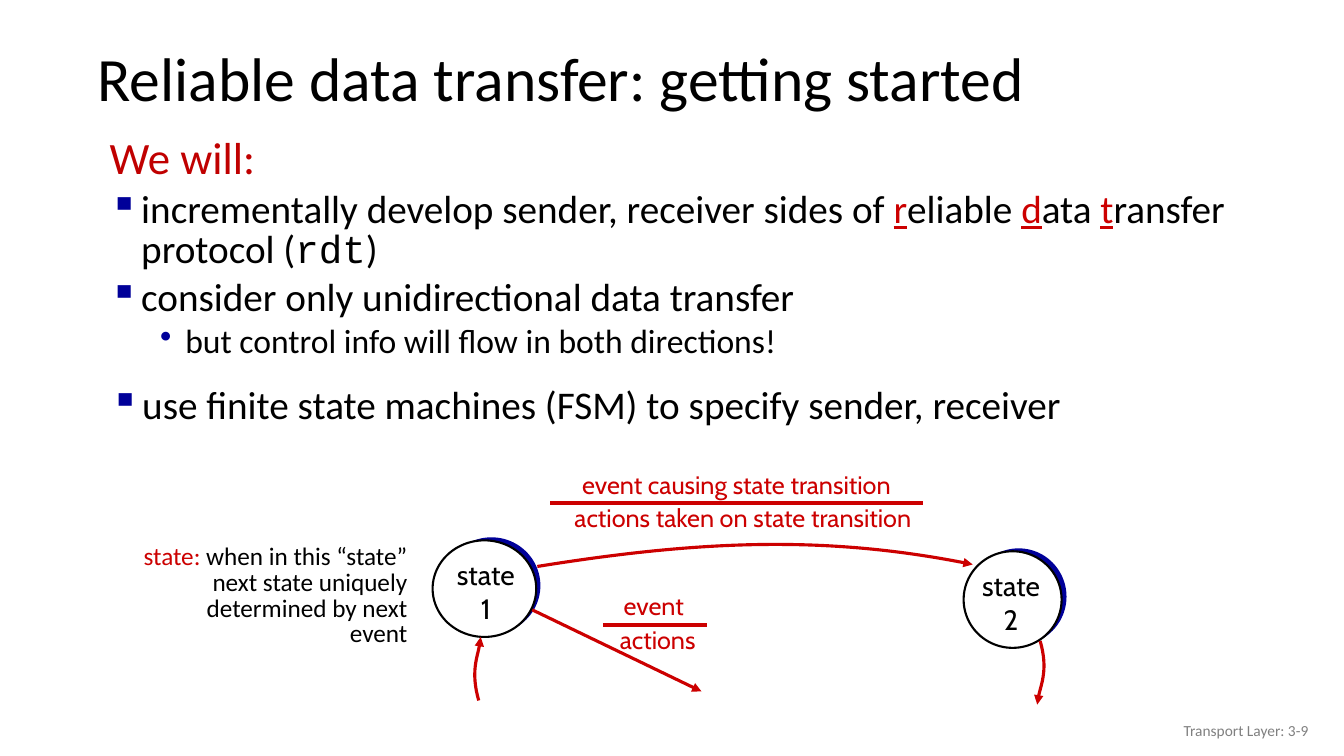
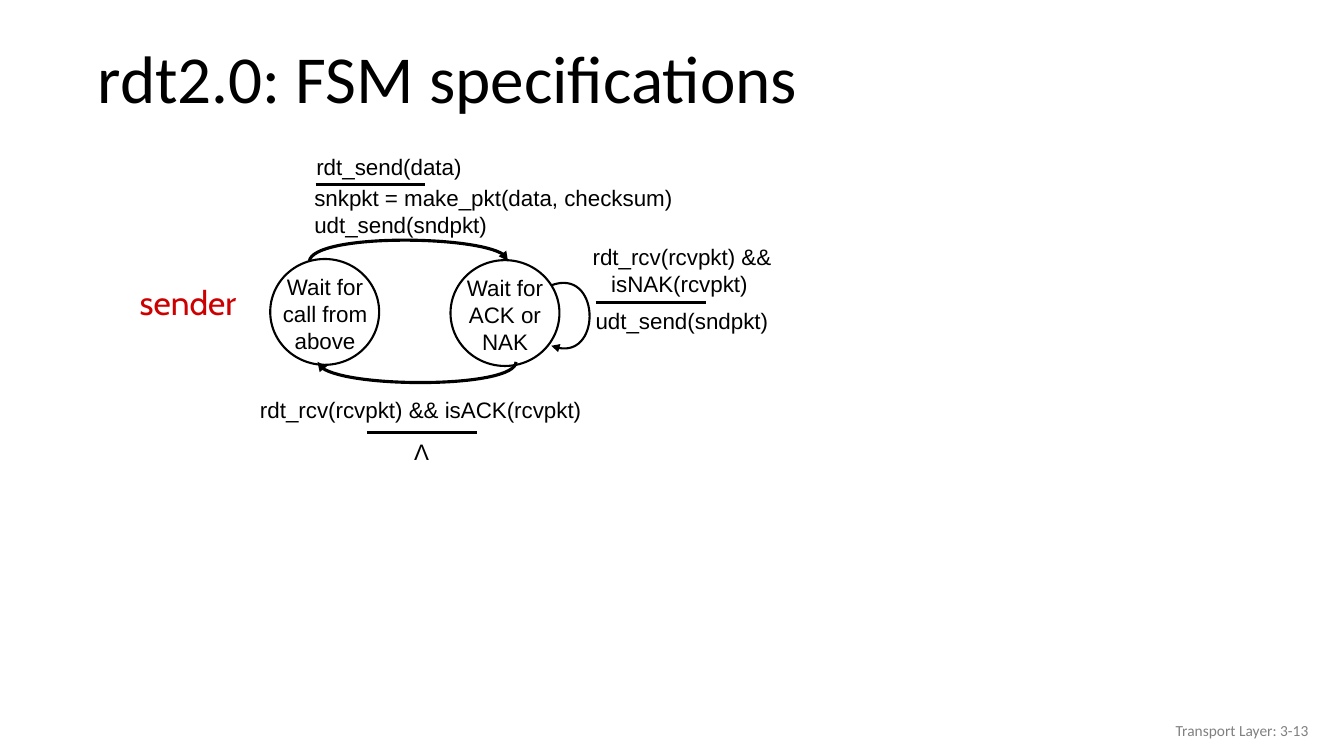
"""Build two slides on reliable data transfer and its state machines."""

from dataclasses import dataclass
from typing import NamedTuple

from lxml import etree
from pptx import Presentation
from pptx import util as u
from pptx.dml.color import RGBColor
from pptx.enum import shapes, text
from pptx.oxml import ns

COLORS = {
    "black": "000000",
    "white": "FFFFFF",
    "red": "CC0000",
    "heading": "C00000",
    "navy": "000099",
    "gray": "808080",
}
LEFT, CENTER, RIGHT = text.PP_ALIGN.LEFT, text.PP_ALIGN.CENTER, text.PP_ALIGN.RIGHT
TOP, MIDDLE = text.MSO_ANCHOR.TOP, text.MSO_ANCHOR.MIDDLE


class Box(NamedTuple):
    left: float
    top: float
    width: float
    height: float


class Point(NamedTuple):
    x: float
    y: float


class Run(NamedTuple):
    text: str
    color: str | None = None
    font: str | None = None
    underline: bool = False


@dataclass(frozen=True)
class Para:
    runs: tuple[Run, ...]
    size: float
    font: str = "Calibri"
    color: str = "black"
    align: text.PP_ALIGN = LEFT
    spacing: float = 1.0
    before: float = 0
    margin: float = 0
    hanging: float = 0
    bullet: str = ""
    level: int = 0


@dataclass(frozen=True)
class Label:
    box: Box
    paragraphs: tuple[Para, ...]
    wrap: bool = True
    anchor: text.MSO_ANCHOR = TOP


@dataclass(frozen=True)
class Stroke:
    points: tuple[Point, ...]
    color: str
    width: float = 2.25
    arrow: bool = True


def rgb(name: str) -> RGBColor:
    return RGBColor.from_string(COLORS[name])


def add_child(parent, tag: str, **attributes: str):
    return etree.SubElement(parent, ns.qn(tag), attributes)


def fill_paragraph(paragraph, para: Para) -> None:
    paragraph.alignment = para.align
    paragraph.line_spacing = para.spacing
    paragraph.space_before = u.Pt(para.before)
    paragraph.level = para.level
    properties = paragraph._p.get_or_add_pPr()
    properties.set("marL", str(u.Pt(para.margin)))
    properties.set("indent", str(-u.Pt(para.hanging)))
    if para.bullet:
        add_child(add_child(properties, "a:buClr"), "a:srgbClr", val=COLORS["navy"])
        add_child(properties, "a:buChar", char=para.bullet)
    paragraph.font.size = u.Pt(para.size)
    if not any(run.font for run in para.runs):
        paragraph.font.name = para.font
    if not any(run.color for run in para.runs):
        paragraph.font.color.rgb = rgb(para.color)
    for item in para.runs:
        run = paragraph.add_run()
        run.text = item.text
        if any(other.font for other in para.runs):
            run.font.name = item.font or para.font
        if any(other.color for other in para.runs):
            run.font.color.rgb = rgb(item.color or para.color)
        if item.underline:
            run.font.underline = True


def add_label(slide, label: Label) -> None:
    frame = slide.shapes.add_textbox(*map(u.Pt, label.box)).text_frame
    frame.word_wrap = label.wrap
    frame.vertical_anchor = label.anchor
    for index, para in enumerate(label.paragraphs):
        fill_paragraph(frame.add_paragraph() if index else frame.paragraphs[0], para)


def add_ellipse(slide, box: Box, fill: str, outlined: bool = True) -> None:
    shape = slide.shapes.add_shape(shapes.MSO_SHAPE.OVAL, *map(u.Pt, box))
    shape.shadow.inherit = False
    shape.fill.solid()
    shape.fill.fore_color.rgb = rgb(fill)
    if outlined:
        shape.line.color.rgb = rgb("black")
        shape.line.width = u.Pt(1.5)
    else:
        shape.line.fill.background()


def add_curve(slide, points: tuple[Point, ...]):
    start, *rest = [(u.Pt(point.x), u.Pt(point.y)) for point in points]
    builder = slide.shapes.build_freeform(*start)
    builder.add_line_segments(rest, close=False)
    shape = builder.convert_to_shape()
    shape.fill.background()
    segments = list(shape._element.iter(ns.qn("a:lnTo")))
    outline = segments[0].getparent()
    bezier = add_child(outline, "a:cubicBezTo")
    for segment in segments:
        bezier.append(segment[0])
        outline.remove(segment)
    return shape


def add_stroke(slide, stroke: Stroke) -> None:
    if len(stroke.points) == 2:
        start, end = stroke.points
        shape = slide.shapes.add_connector(
            shapes.MSO_CONNECTOR.STRAIGHT, *map(u.Pt, (*start, *end))
        )
    else:
        shape = add_curve(slide, stroke.points)
    shape.line.color.rgb = rgb(stroke.color)
    shape.line.width = u.Pt(stroke.width)
    properties = shape._element.spPr
    if stroke.arrow:
        add_child(properties.find(ns.qn("a:ln")), "a:tailEnd", type="triangle")
    add_child(properties, "a:effectLst")


def curve(color: str, *numbers: float, width: float = 2.25) -> Stroke:
    points = tuple(map(Point, numbers[::2], numbers[1::2]))
    return Stroke(points, color, width)


def rule(color: str, left: float, right: float, y: float) -> Stroke:
    return Stroke((Point(left, y), Point(right, y)), color, arrow=False)


def cabin(box: Box, *lines: str, size: float = 18, color: str = "red") -> Label:
    paragraphs = tuple(Para((Run(line),), size, "Cabin", color, CENTER) for line in lines)
    return Label(box, paragraphs, wrap=False)


def code(box: Box, *lines: str, align: text.PP_ALIGN = LEFT, last_margin: float = 0) -> Label:
    margins = [0] * (len(lines) - 1) + [last_margin]
    paragraphs = tuple(
        Para((Run(line),), 16, "Arial", align=align, margin=margin)
        for line, margin in zip(lines, margins)
    )
    return Label(box, paragraphs)


def bullet(size: float, *runs: Run, first: bool = False) -> Para:
    before = 0 if first else size / 5
    return Para(runs, size, spacing=0.85, before=before, margin=22.5, hanging=22.5, bullet="▪")


def start_slide(presentation, title: str, size: float, number: int):
    slide = presentation.slides.add_slide(presentation.slide_layouts[6])
    heading = Para((Run(title),), size, spacing=0.9)
    footer = Para((Run(f"Transport Layer: 3-{number}"),), 11, color="gray", align=RIGHT)
    add_label(slide, Label(Box(62.6, 23, 874, 70.6), (heading,), anchor=MIDDLE))
    add_label(slide, Label(Box(725.8, 507.6, 216, 28.8), (footer,), anchor=MIDDLE))
    return slide


def draw(slide, labels: list[Label], strokes: list[Stroke]) -> None:
    for label in labels:
        add_label(slide, label)
    for stroke in strokes:
        add_stroke(slide, stroke)


def build_getting_started(presentation) -> None:
    slide = start_slide(presentation, "Reliable data transfer: getting started", 44, 9)
    goals = (
        Para((Run("We will:"),), 32, color="heading", spacing=0.85, margin=22.5, hanging=22.5),
        bullet(
            28,
            Run("incrementally develop sender, receiver sides of "),
            Run("r", "red", underline=True),
            Run("eliable "),
            Run("d", "red", underline=True),
            Run("ata "),
            Run("t", "red", underline=True),
            Run("ransfer protocol ("),
            Run("rdt", font="Courier New"),
            Run(")"),
        ),
        bullet(28, Run("consider only unidirectional data transfer")),
        Para(
            (Run("but control info will flow in both directions!"),),
            24, spacing=0.85, before=4.8, margin=54, hanging=18, bullet="•", level=1,
        ),
    )
    machines = bullet(
        28, Run("use finite state machines (FSM) to specify sender, receiver"), first=True
    )
    meaning = Para(
        (
            Run("state:", "red"),
            Run(" when in this “state” next state uniquely determined by next event"),
        ),
        18, align=RIGHT, spacing=0.85, margin=27, hanging=27,
    )
    states = (
        (Box(316, 383.8, 70, 69), Box(309, 386, 74, 69)),
        (Box(693.4, 391.7, 68.4, 69), Box(688.3, 393.8, 70, 69)),
    )
    for shade, face in states:
        add_ellipse(slide, shade, "navy", outlined=False)
        add_ellipse(slide, face, "white")
    labels = [
        Label(Box(71.3, 95, 870.5, 264.2), goals),
        Label(Box(72, 273.6, 870.5, 42.5), (machines,)),
        Label(Box(79.9, 385.9, 218.2, 97.2), (meaning,)),
        cabin(Box(318.2, 394.6, 57.6, 55.4), "state", "1", size=20, color="black"),
        cabin(Box(693.4, 402.5, 57.6, 55.4), "state", "2", size=20, color="black"),
        cabin(Box(401.8, 331.9, 248.4, 28.8), "event causing state transition"),
        cabin(Box(396, 355, 269.3, 28.8), "actions taken on state transition"),
        cabin(Box(437.8, 418.3, 58.3, 28.8), "event"),
        cabin(Box(434.9, 442.1, 69.8, 28.8), "actions"),
    ]
    strokes = [
        rule("red", 393.1, 659.5, 359.3),
        rule("red", 430.6, 504.7, 446.4),
        curve("red", 383.8, 404.6, 499.7, 385.9, 592.6, 382.3, 694.8, 403.2),
        curve("red", 342, 500.4, 336.2, 480.2, 343.4, 461.5, 343.4, 455),
        curve("red", 743, 457.9, 748.8, 478.1, 740.9, 496.8, 740.9, 503.3),
        Stroke((Point(380.2, 435.6), Point(501.1, 493.9)), "red"),
    ]
    draw(slide, labels, strokes)


def build_specifications(presentation) -> None:
    slide = start_slide(presentation, "rdt2.0: FSM specifications", 48, 13)
    for left, top in ((193, 185), (321.8, 185.8)):
        add_ellipse(slide, Box(left, top, 77.8, 75.6), "white")
    labels = [
        code(Box(185, 191.5, 94.3, 48.2), "Wait for call from above", align=CENTER),
        code(Box(318.2, 192.2, 85, 48.2), "Wait for ACK or NAK", align=CENTER),
        code(Box(218.9, 105.8, 177.8, 33.8), "rdt_send(data)"),
        code(Box(217.4, 128.2, 286.6, 31.7),
             "snkpkt = make_pkt(data, checksum)", "udt_send(sndpkt)"),
        code(Box(416.2, 169.9, 164.2, 49.7),
             "rdt_rcv(rcvpkt) &&", "isNAK(rcvpkt)", last_margin=13.3),
        code(Box(418.3, 216, 139, 31.7), "udt_send(sndpkt)"),
        code(Box(178.6, 279.4, 279.4, 22.3), "rdt_rcv(rcvpkt) && isACK(rcvpkt)"),
        code(Box(288.7, 309.6, 26, 26.6), "Λ"),
        cabin(Box(91.4, 198, 85.7, 36), "sender", size=24),
    ]
    strokes = [
        rule("black", 225.4, 303.5, 131.8),
        rule("black", 425.5, 504, 216),
        rule("black", 262.1, 340.6, 308.9),
        curve("black", 221, 186.5, 223.9, 167, 362.9, 167.8, 362.9, 186.5),
        curve("black", 368.6, 258.5, 368.6, 277.2, 229.7, 277.9, 226.8, 258.5),
        curve("black", 393.8, 203.8, 428.4, 190.8, 430.6, 261.4, 393.8, 247, width=1.5),
    ]
    draw(slide, labels, strokes)


def main() -> None:
    presentation = Presentation()
    presentation.slide_width, presentation.slide_height = u.Pt(960), u.Pt(540)
    build_getting_started(presentation)
    build_specifications(presentation)
    presentation.save("out.pptx")


if __name__ == "__main__":
    main()
